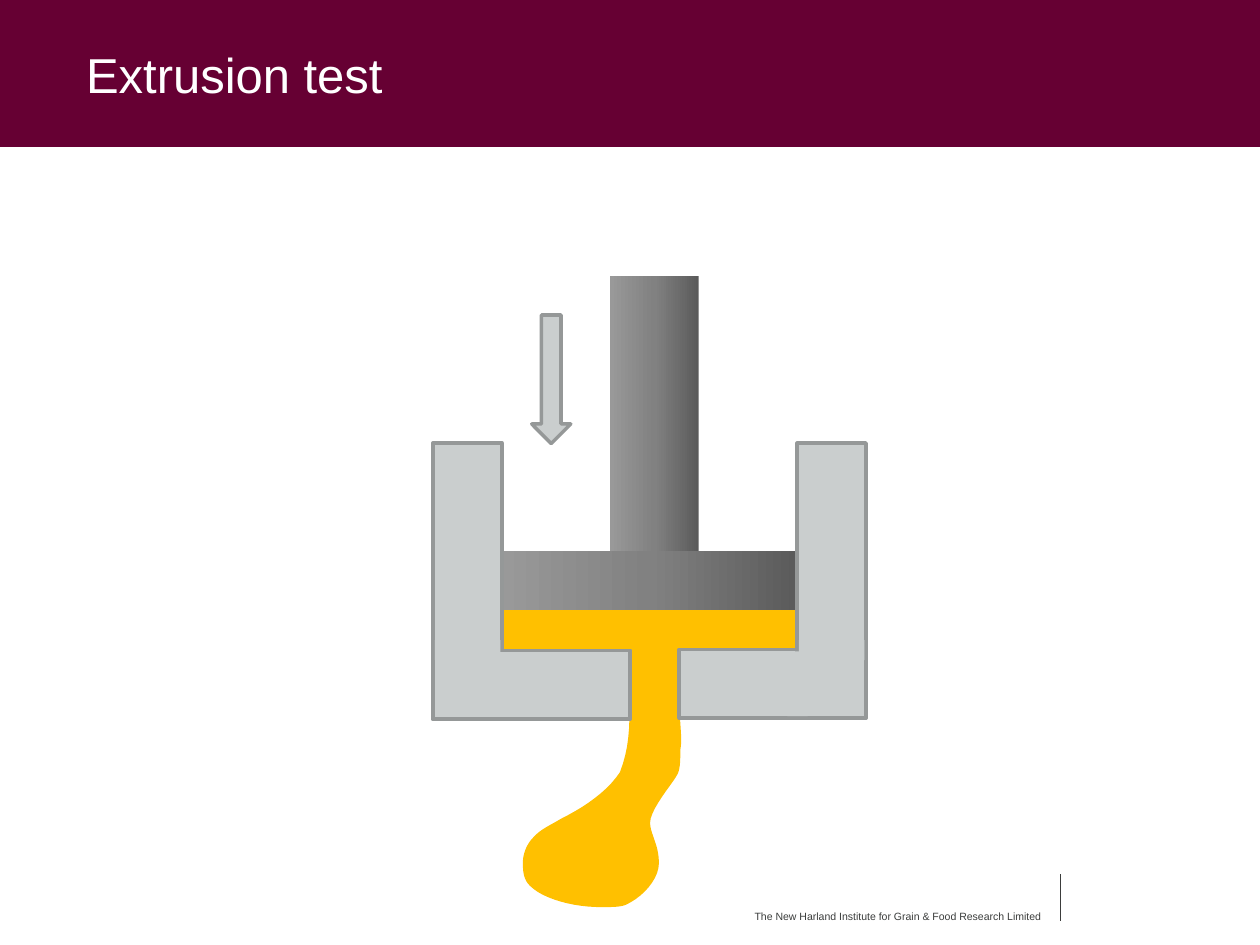
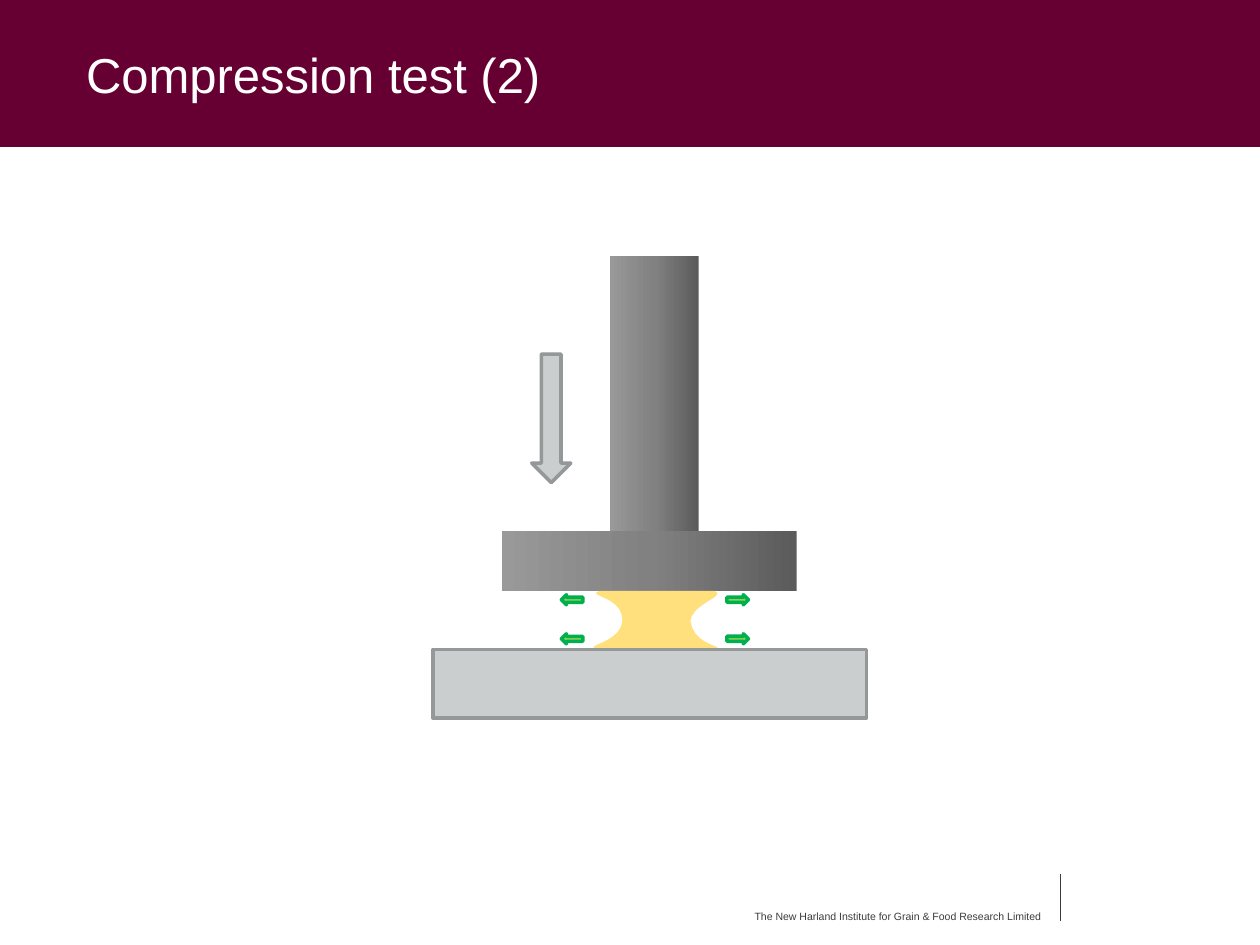
from copy import deepcopy

from pptx import Presentation
from pptx.dml.color import RGBColor
from pptx.enum.shapes import MSO_CONNECTOR as Connector, MSO_SHAPE as Preset
from pptx.enum.text import MSO_ANCHOR as Anchor
from pptx.oxml import parse_xml
from pptx.util import Inches, Pt

colour = RGBColor.from_string

FONT = "Arial"
BAND, WHITE, FOOTER = "660033", "FFFFFF", "3B3D3C"
STEEL, STEEL_EDGE = "CACECE", "959898"
SAMPLE, PRESSED_SAMPLE = "FFC000", "FFE07D"
FLOW, FLOW_EDGE = "92D050", "00B050"
METAL = ("5B5B5B", "818181", "999999")
FOOTER_TEXT = "The New Harland Institute for Grain & Food Research Limited"
EFFECTS = '<a:effectLst xmlns:a="http://schemas.openxmlformats.org/drawingml/2006/main"/>'

# Grid of 100 columns by 75 rows; all places below are in its cells
presentation = Presentation()
presentation.slide_width, presentation.slide_height = Inches(10), Inches(7.5)
CELL = presentation.slide_width / 100
BAND_HEIGHT = 11.67


def add_box(slide, preset, left, top, width, height, fill, edge=None):
    """Add a preset shape; a tuple of three colours as fill gives a gradient."""
    shape = slide.shapes.add_shape(
        preset, *(round(n * CELL) for n in (left, top, width, height)))
    shape.shadow.inherit = False
    if isinstance(fill, tuple):
        shape.fill.gradient()
        shape.fill.gradient_angle = 180
        stop_list = shape.element.xpath(".//a:gsLst")[0]
        stop_list.insert(1, deepcopy(stop_list[0]))
        for index, stop in enumerate(shape.fill.gradient_stops):
            stop.position = index / 2
            stop.color.rgb = colour(fill[index])
    else:
        shape.fill.solid()
        shape.fill.fore_color.rgb = colour(fill)
    if edge:
        shape.line.color.rgb = colour(edge)
        shape.line.width = Pt(2)
    else:
        shape.line.fill.background()
    return shape


def add_outline(slide, start, curves, fill, steps=10):
    """Add a closed outline of cubic curves, each two controls and an end."""
    points, here = [], start
    for first, second, end in curves:
        for step in range(1, steps + 1):
            t = step / steps
            points.append([
                CELL * ((1 - t) ** 3 * a + 3 * t * (1 - t) ** 2 * b
                        + 3 * t ** 2 * (1 - t) * c + t ** 3 * d)
                for a, b, c, d in zip(here, first, second, end)])
        here = end
    builder = slide.shapes.build_freeform(start[0] * CELL, start[1] * CELL)
    builder.add_line_segments(points, close=True)
    shape = builder.convert_to_shape()
    shape.shadow.inherit = False
    shape.fill.solid()
    shape.fill.fore_color.rgb = colour(fill)
    shape.line.fill.background()


# Shared frame: title band, title, footer text and footer rule
slides = []
for title in ("Extrusion test", "Compression test (2)"):
    slide = presentation.slides.add_slide(presentation.slide_layouts[6])
    slides.append(slide)
    add_box(slide, Preset.RECTANGLE, 0, 0, 100, BAND_HEIGHT, BAND)
    for text, place, size, ink, anchor in (
        (title, (5.85, 0, 77.5, BAND_HEIGHT), 28, WHITE, Anchor.MIDDLE),
        (FOOTER_TEXT, (58.9, 71.7, 25.3, 2.5), 6, FOOTER, Anchor.TOP),
    ):
        box = slide.shapes.add_textbox(*(round(n * CELL) for n in place))
        box.text_frame.word_wrap = True
        box.text_frame.vertical_anchor = anchor
        run = box.text_frame.paragraphs[0].add_run()
        run.text = text
        run.font.name, run.font.size = FONT, Pt(size)
        run.font.color.rgb = colour(ink)
    rule = slide.shapes.add_connector(
        Connector.STRAIGHT, *(round(n * CELL) for n in (84.16, 69.4, 84.16, 73.1)))
    rule.line.color.rgb = colour(FOOTER)
    rule.line.width = Pt(0.75)
    rule.element.spPr.append(parse_xml(EFFECTS))

extrusion, compression = slides

# Sample flowing out of the cup
add_outline(extrusion, (49.9, 53.4), [
    ((50, 57), (50.1, 59), (49.2, 61.3)),
    ((48.2, 62.8), (46.5, 64), (44.5, 65)),
    ((43.7, 65.5), (42.9, 65.8), (42.3, 66.5)),
    ((41.8, 67), (41.5, 67.8), (41.5, 68.5)),
    ((41.5, 69.8), (41.8, 70.2), (42.7, 70.8)),
    ((44, 71.6), (46, 72), (47.7, 72)),
    ((48.5, 72), (49.3, 72), (49.7, 71.8)),
    ((51, 71.2), (52.3, 69.8), (52.3, 68.5)),
    ((52.3, 67), (51.6, 66.2), (51.6, 65.3)),
    ((51.6, 64.2), (53.4, 62.2), (53.8, 61.4)),
    ((54, 60.9), (54, 60.3), (54, 59.5)),
    ((54.2, 58.5), (53.9, 57.5), (53.8, 53.4)),
], SAMPLE)
add_box(extrusion, Preset.RECTANGLE, 39.84, 48.4, 23.4, 7, SAMPLE)

# Piston and the arrow that shows its travel
for slide, rod_top, arrow_top in ((extrusion, 21.88, 25), (compression, 20.31, 28.1)):
    add_box(slide, Preset.RECTANGLE, 48.4, rod_top, 7.05, 21.85, METAL)
    add_box(slide, Preset.RECTANGLE, 39.84, rod_top + 21.87, 23.4, 4.69, METAL)
    add_box(slide, Preset.DOWN_ARROW, 42.2, arrow_top, 3.1, 10.2, STEEL, STEEL_EDGE)

# Cup: edged walls and floor, then plain patches that hide the inner seams
for left, top, width, height in (
    (53.9, 51.55, 14.8, 5.45), (63.27, 35.16, 5.47, 21.84),
    (34.37, 35.16, 5.47, 21.9), (34.37, 51.62, 15.65, 5.45),
):
    add_box(extrusion, Preset.RECTANGLE, left, top, width, height, STEEL, STEEL_EDGE)
for left, top, width, height in (
    (34.52, 50.8, 5.2, 1.6), (63.4, 50.8, 5.2, 1.6), (62.5, 51.7, 1.6, 5.15),
):
    add_box(extrusion, Preset.RECTANGLE, left, top, width, height, STEEL)

# Sample pressed on the plate
add_outline(compression, (47.6, 46.9), [
    ((50, 46.9), (54, 46.9), (56.7, 46.9)),
    ((57.8, 47.3), (54.9, 47.9), (54.8, 49.3)),
    ((55.1, 51.4), (57.8, 51.2), (56.7, 51.6)),
    ((54, 51.6), (50, 51.5), (47.6, 51.5)),
    ((45.8, 51.3), (49.4, 51.1), (49.4, 49.2)),
    ((49.4, 47.3), (46.4, 47.3), (47.6, 46.9)),
], PRESSED_SAMPLE)
add_box(compression, Preset.RECTANGLE, 34.37, 51.56, 34.4, 5.45, STEEL, STEEL_EDGE)

# Arrows for the sideways flow
for left, angle in ((57.7, 0), (44.55, 180)):
    for top in (47.2, 50.3):
        arrow = add_box(compression, Preset.RIGHT_ARROW, left, top, 1.7, 0.8,
                        FLOW, FLOW_EDGE)
        arrow.rotation = angle

presentation.save("out.pptx")
